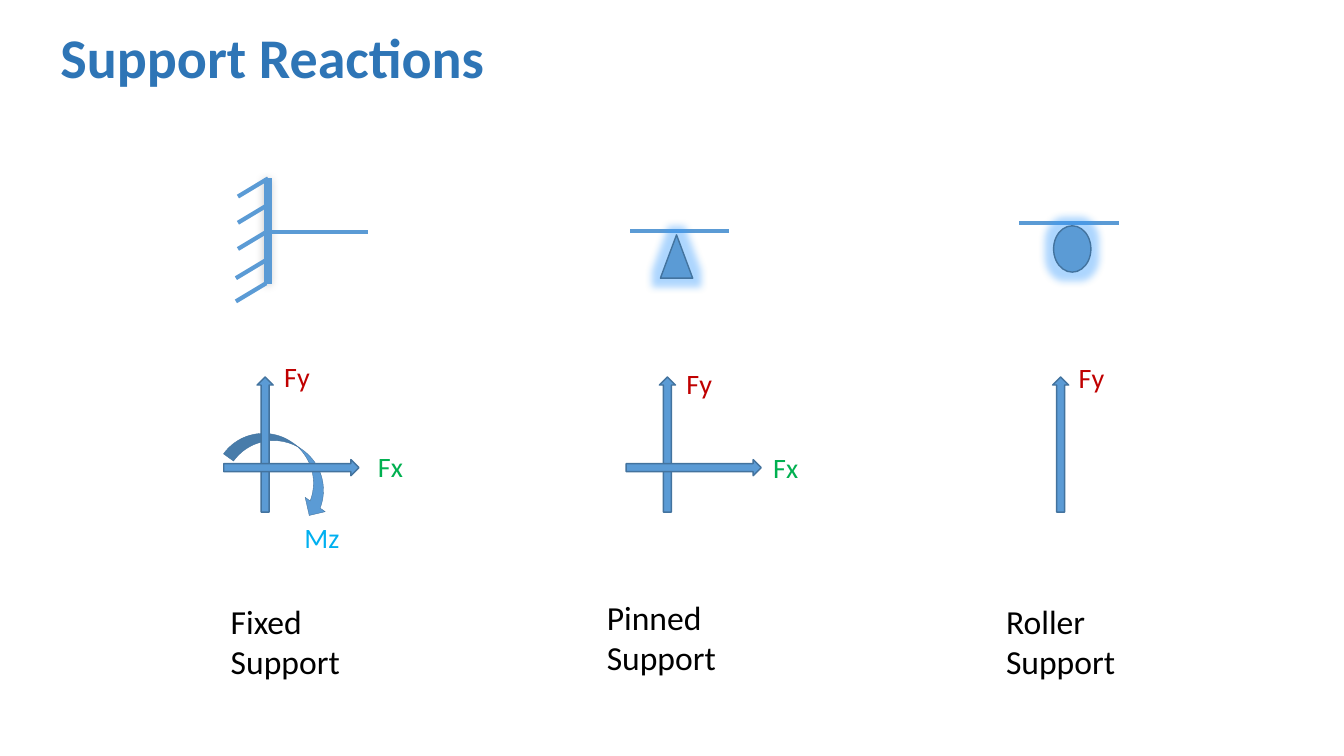
from lxml import etree
from pptx import Presentation
from pptx import util as u
from pptx.dml.color import RGBColor
from pptx.enum import shapes, text
from pptx.oxml import ns

KIND = shapes.MSO_SHAPE


def hue(code):
    return RGBColor.from_string(code)


class Board:
    font, blue, edge = "Calibri", "5B9BD5", "43739E"

    def __init__(self, slide):
        self.slide = slide

    def effect(self, item, tag=None, code="000000", alpha=0, **attrs):
        """Replace inherited effects with none, or with a single one."""
        props = item._element.spPr
        for old in props.findall(ns.qn("a:effectLst")):
            props.remove(old)
        group = etree.SubElement(props, ns.qn("a:effectLst"))
        if tag:
            part = etree.SubElement(group, ns.qn(tag), {k: str(v) for k, v in attrs.items()})
            tint = etree.SubElement(part, ns.qn("a:srgbClr"), val=code)
            etree.SubElement(tint, ns.qn("a:alpha"), val=str(alpha * 1000))

    def words(self, frame, words, size, code, bold=False):
        frame.text = words
        para = frame.paragraphs[0]
        para.alignment = text.PP_ALIGN.LEFT
        para.font.name, para.font.size, para.font.bold = self.font, u.Pt(size), bold
        para.font.color.rgb = hue(code)
        return para

    def title(self, words):
        box = self.slide.shapes.title
        box.left, box.top = u.Inches(0.5), u.Inches(0.14)
        box.width, box.height = u.Inches(11.5), u.Inches(0.91)
        box.text_frame.vertical_anchor = text.MSO_ANCHOR.MIDDLE
        self.words(box.text_frame, words, 40, "2E75B6", True).line_spacing = 0.9

    def label(self, words, x, y, w, h, size, code, wrap=False):
        box = self.slide.shapes.add_textbox(*map(u.Inches, (x, y, w, h)))
        box.text_frame.word_wrap = wrap
        box.text_frame.auto_size = text.MSO_AUTO_SIZE.SHAPE_TO_FIT_TEXT
        self.words(box.text_frame, words, size, code)

    def line(self, x1, y1, x2, y2, width=3):
        bar = self.slide.shapes.add_connector(
            shapes.MSO_CONNECTOR.STRAIGHT, *map(u.Inches, (x1, y1, x2, y2)))
        bar.line.color.rgb, bar.line.width = hue(self.blue), u.Pt(width)
        self.effect(bar)
        return bar

    def shape(self, kind, x, y, w, h, turn=0, width=1):
        item = self.slide.shapes.add_shape(kind, *map(u.Inches, (x, y, w, h)))
        item.rotation = turn
        item.fill.solid()
        item.fill.fore_color.rgb = hue(self.blue)
        item.line.color.rgb, item.line.width = hue(self.edge), u.Pt(width)
        item.shadow.inherit = False
        return item

    def force(self, x, y, turn=0):
        self.shape(KIND.UP_ARROW, x, y, 0.16, 1.34, turn)

    def glow(self, item):
        self.effect(item, "a:glow", "3399FF", 40, rad=u.Pt(11))


def main():
    deck = Presentation()
    deck.slide_width, deck.slide_height = u.Inches(13.33), u.Inches(7.5)
    board = Board(deck.slides.add_slide(deck.slide_layouts[5]))
    board.title("Support Reactions")

    # Fixed support: wall, beam and hatching
    wall = board.line(2.66, 1.77, 2.66, 2.82, 6)
    board.effect(wall, "a:outerShdw", alpha=20, blurRad=u.Pt(6), dist=u.Pt(1),
                 dir=135 * 60000)
    board.line(2.66, 2.3, 3.65, 2.3)
    for x, y in ((2.36, 1.95), (2.36, 2.21), (2.36, 2.47), (2.34, 2.76), (2.34, 2.99)):
        board.line(x, y, x + 0.3, y - 0.18)

    # Moment and forces
    board.shape(KIND.CURVED_DOWN_ARROW, 2.25, 4.4, 1.17, 0.49, 35.7, 0.25)
    for x in (2.55, 6.54):
        board.force(x, 3.74)
        board.force(x + 0.26, 3.97, 90)
    board.force(10.44, 3.74)

    # Support names
    for name, x, y in (("Fixed", 2.19, 5.91), ("Pinned", 5.92, 5.87), ("Roller", 9.88, 5.91)):
        board.label(f"{name} Support", x, y, 1.93, 0.91, 24, "000000", True)

    # Pinned and roller supports
    board.line(10.11, 2.21, 11.1, 2.21)
    board.line(6.25, 2.29, 7.23, 2.29)
    board.glow(board.shape(KIND.OVAL, 10.45, 2.24, 0.37, 0.46))
    board.glow(board.shape(KIND.ISOSCELES_TRIANGLE, 6.55, 2.33, 0.32, 0.43))

    # Force and moment labels
    tints = {"Fx": "00B050", "Fy": "C00000", "Mz": "00B0F0"}
    for name, x, y, w in (("Fx", 3.65, 4.41, 0.47), ("Fx", 7.57, 4.42, 0.47),
                          ("Fy", 2.72, 3.52, 0.47), ("Fy", 6.71, 3.59, 0.47),
                          ("Fy", 10.6, 3.53, 0.47), ("Mz", 2.92, 5.11, 0.64)):
        board.label(name, x, y, w, 0.44, 20, tints[name])

    deck.save("out.pptx")


if __name__ == "__main__":
    main()
